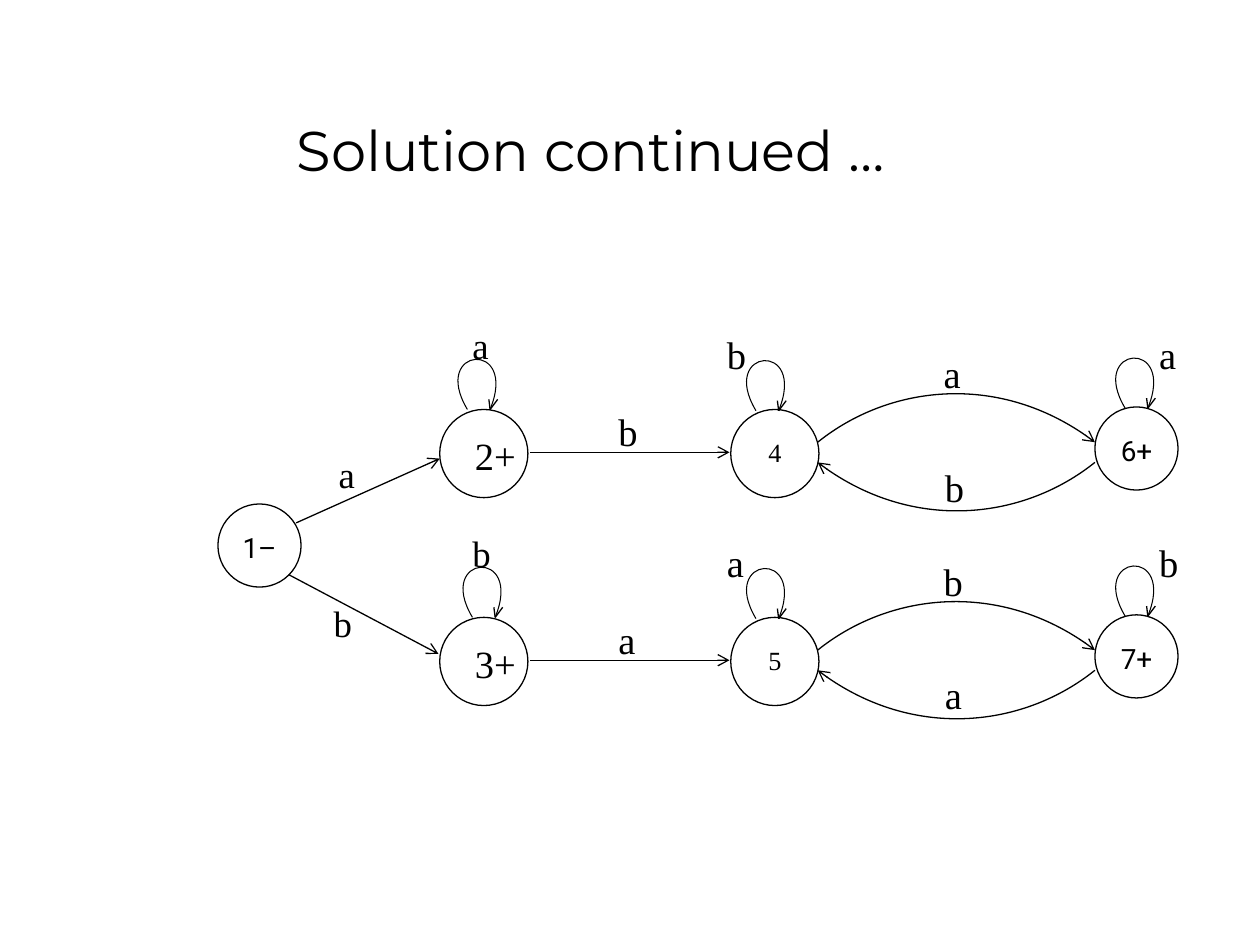
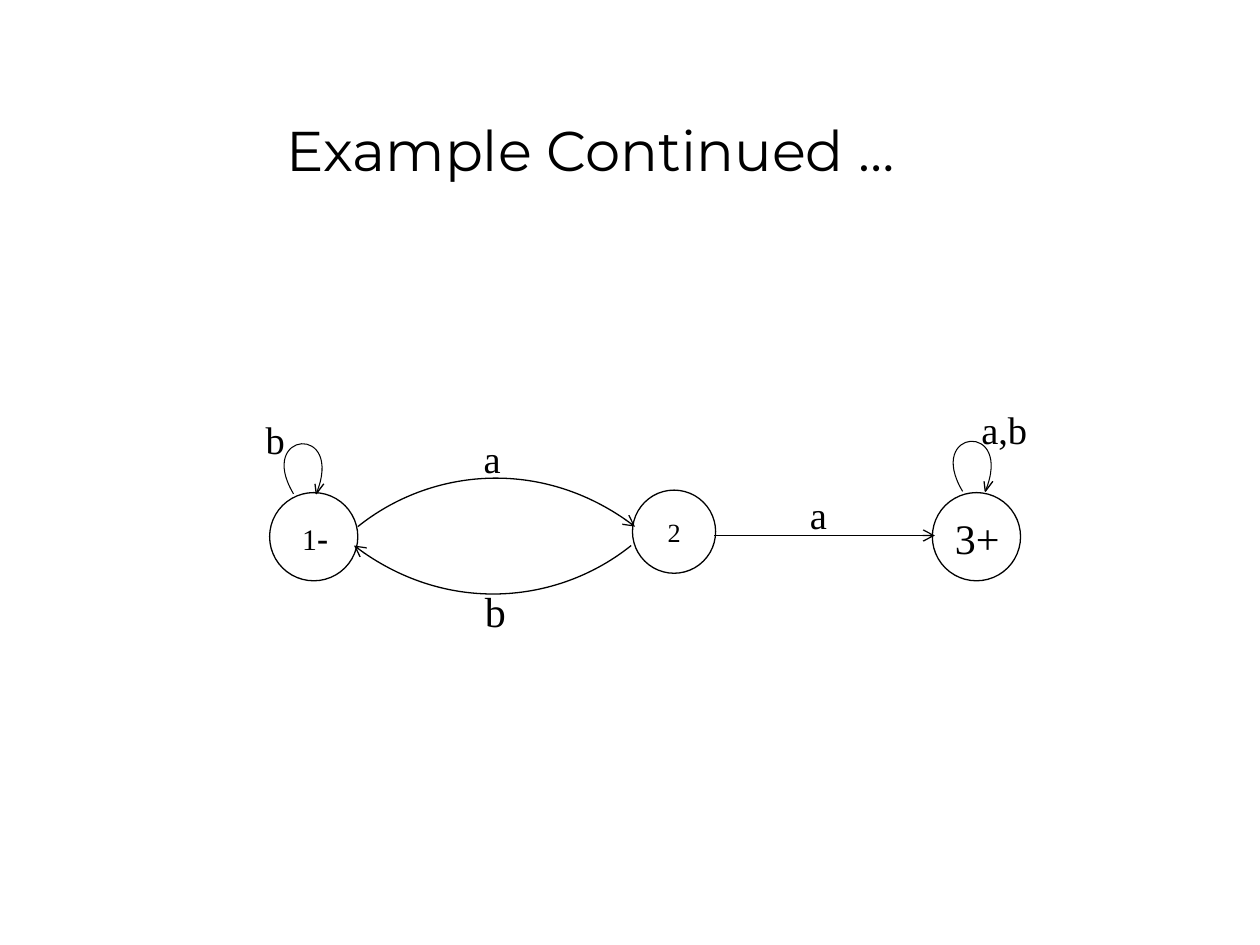
"""Build two slides that show finite automata as state diagrams."""
from lxml.etree import SubElement
from pptx import Presentation
from pptx.dml.color import RGBColor
from pptx.enum.shapes import MSO_CONNECTOR, MSO_SHAPE
from pptx.enum.text import MSO_ANCHOR, PP_ALIGN
from pptx.oxml.ns import qn
from pptx.util import Inches, Pt

COLORS = {"ink": "000000", "paper": "FFFFFF"}
TITLE_FONT, SIGN_FONT, SERIF = "Montserrat", "Roboto", "Times New Roman"
ROW_GAP = 1.65
LARGE, SMALL = 0.7, 0.66
ARC_SPAN = 2.2


def color(name):
    return RGBColor.from_string(COLORS[name])


def style_line(shape, width=0.75, arrow=False):
    """Give a line its colour and width, no shadow, and an open arrowhead if asked."""
    shape.line.color.rgb = color("ink")
    shape.line.width = Pt(width)
    properties = shape._element.spPr
    if properties.find(qn("a:effectLst")) is None:
        SubElement(properties, qn("a:effectLst"))
    if arrow:
        SubElement(properties.find(qn("a:ln")), qn("a:tailEnd"), type="arrow")


def add_text(page, text, left, top, width=0.98, height=0.67, size=22, font=SERIF,
             align=PP_ALIGN.LEFT, anchor=MSO_ANCHOR.TOP, margin_top=0.05):
    box = page.shapes.add_textbox(*map(Inches, (left, top, width, height)))
    frame = box.text_frame
    frame.word_wrap = True
    frame.vertical_anchor = anchor
    frame.margin_top = Inches(margin_top)
    para = frame.paragraphs[0]
    para.text = text
    para.alignment = align
    para.font.size = Pt(size)
    para.font.name = font
    para.font.color.rgb = color("ink")
    return para


def add_page(deck, title):
    page = deck.slides.add_slide(deck.slide_layouts[6])
    add_text(page, title, 0.44, 0.25, 8.5, 1.25, 32, TITLE_FONT,
             PP_ALIGN.CENTER, MSO_ANCHOR.BOTTOM)
    return page


def add_circle(page, left, top, diameter=LARGE):
    circle = page.shapes.add_shape(
        MSO_SHAPE.OVAL, *map(Inches, (left, top, diameter, diameter)))
    circle.shadow.inherit = False
    circle.fill.solid()
    circle.fill.fore_color.rgb = color("paper")
    style_line(circle)


def add_state(page, name, left, top, diameter=LARGE, size=15, font=SERIF):
    """Draw a circle with its name centred in it."""
    add_circle(page, left, top, diameter)
    add_text(page, name, left - 0.13, top - 0.02, diameter + 0.26, diameter - 0.02,
             size, font, PP_ALIGN.CENTER, margin_top=0.23)


def add_segment(page, start, end, arrow=False):
    segment = page.shapes.add_connector(
        MSO_CONNECTOR.STRAIGHT, *map(Inches, (*start, *end)))
    style_line(segment, arrow=arrow)


def add_curve(page, points, width=0.75, arrow=False):
    """Draw one cubic curve through a start, two control points and an end."""
    start, *others = [(Inches(x), Inches(y)) for x, y in points]
    builder = page.shapes.build_freeform(*start)
    builder.add_line_segments(others, close=False)
    curve = builder.convert_to_shape()
    outline = curve._element.find(".//" + qn("a:path"))
    bezier = SubElement(outline, qn("a:cubicBezTo"))
    for step in outline.findall(qn("a:lnTo")):
        bezier.append(step[0])
        outline.remove(step)
    curve.fill.background()
    style_line(curve, width, arrow)


def add_arc(page, x, y, direction):
    """Bow rightwards over the top (1) or leftwards under the bottom (-1)."""
    offsets = ((0, 0), (0.56, -0.45), (1.47, -0.56), (ARC_SPAN, 0))
    add_curve(page, [(x + direction * dx, y + direction * dy) for dx, dy in offsets],
              arrow=True)


def add_loop(page, x, y):
    """Draw a loop from a state to itself, with a small two-stroke arrowhead."""
    offsets = ((0, 0), (-0.3, -0.5), (0.41, -0.56), (0.18, 0))
    add_curve(page, [(x + dx, y + dy) for dx, dy in offsets], 0.6)
    for barb in (0.24, 0.17):
        add_segment(page, (x + 0.18, y), (x + barb, y - 0.08))


def add_branch(page, row, first, second, names):
    """Draw one row of three states; first and second are the letters read."""
    top = 3.25 + row * ROW_GAP
    left_name, middle_name, right_name = names
    add_circle(page, 3.49, top)
    add_text(page, left_name, 3.67, top + 0.13)
    add_state(page, middle_name, 5.8, top)
    add_state(page, right_name, 8.69, top - 0.02, SMALL, 16, SIGN_FONT)
    add_loop(page, 3.71 + row * 0.04, top)
    add_loop(page, 6, top + 0.01)
    add_loop(page, 8.93, top - 0.01)
    add_segment(page, (4.21, top + 0.34), (5.79, top + 0.34), arrow=True)
    add_arc(page, 6.49, top + 0.26, 1)
    add_arc(page, 8.69, top + 0.42, -1)
    add_text(page, first, 3.65, top - 0.74, size=21)
    add_text(page, second, 4.81, top - 0.06)
    add_text(page, second, 5.67, top - 0.67)
    add_text(page, first, 7.39, top - 0.52, 0.41, 0.4)
    add_text(page, second, 7.4, top + 0.38, 0.49, 0.5)
    add_text(page, first, 9.1, top - 0.67)


def add_solution(deck):
    page = add_page(deck, "Solution continued …")
    add_state(page, "1–", 1.73, 4, SMALL, 16, SIGN_FONT)
    add_segment(page, (2.35, 4.15), (3.49, 3.64), arrow=True)
    add_segment(page, (2.29, 4.56), (3.48, 5.19), arrow=True)
    add_text(page, "a", 2.59, 3.54, 0.7, size=21)
    add_text(page, "b", 2.55, 4.72, 0.7, size=21)
    add_branch(page, 0, "a", "b", ("2+", "4", "6+"))
    add_branch(page, 1, "b", "a", ("3+", "5", "7+"))


def add_example(deck):
    page = add_page(deck, "Example Continued …")
    add_circle(page, 2.14, 3.91)
    add_state(page, "2", 5.02, 3.89, SMALL)
    add_circle(page, 7.4, 3.91)
    add_loop(page, 2.33, 3.92)
    add_loop(page, 7.64, 3.9)
    add_arc(page, 2.84, 4.18, 1)
    add_arc(page, 5.01, 4.33, -1)
    add_segment(page, (5.67, 4.25), (7.42, 4.25), arrow=True)
    add_text(page, "b", 2.01, 3.25)
    add_text(page, "a", 3.74, 3.4, 0.41, 0.4)
    add_text(page, "b", 3.75, 4.6, 0.41, 0.4, 24)
    add_text(page, "a", 6.33, 3.85, 0.41, 0.4)
    add_text(page, "a,b", 7.69, 3.17)
    add_text(page, "3+", 7.48, 4.02, 0.77, 0.34, 24)
    para = add_text(page, "1", 2.3, 4.06, 0.45, 0.4, 17)
    span = para.add_run()
    span.text = "-"
    span.font.size = Pt(19)
    span.font.bold = True


def main():
    deck = Presentation()
    deck.slide_width, deck.slide_height = Inches(10), Inches(7.5)
    add_solution(deck)
    add_example(deck)
    deck.save("out.pptx")


if __name__ == "__main__":
    main()
